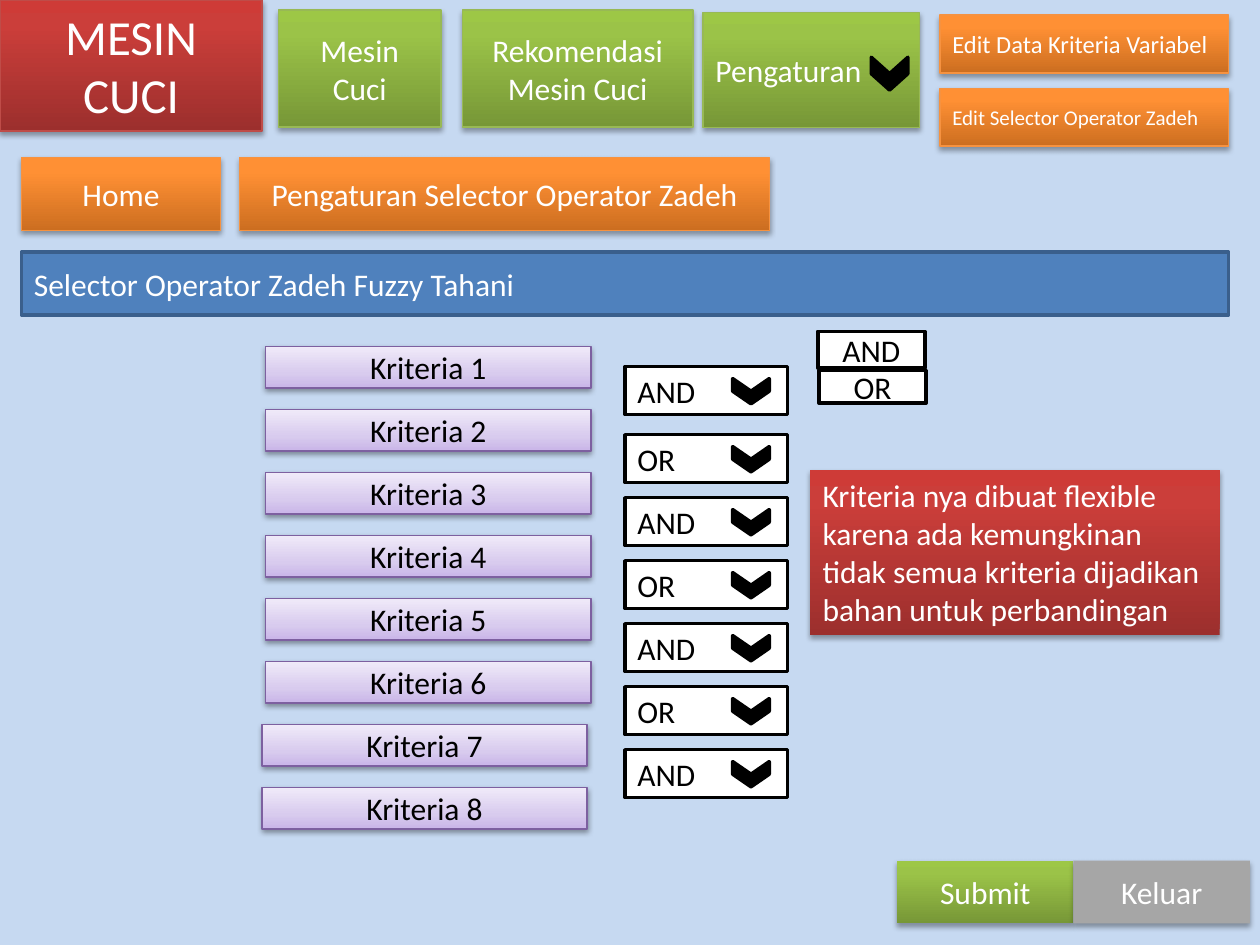
from lxml import etree
from pptx import Presentation
from pptx.dml.color import RGBColor
from pptx.enum.shapes import MSO_SHAPE as Shape
from pptx.enum.text import MSO_ANCHOR as Anchor, MSO_AUTO_SIZE as AutoSize, PP_ALIGN as Align
from pptx.oxml.ns import qn
from pptx.util import Inches, Pt

COLORS = {
    "background": "C6D9F1", "white": "FFFFFF", "black": "000000",
    "blue": "4F81BD", "blue line": "3A5F8C", "gray": "A6A6A6",
    "red line": "BF4C48", "orange line": "F69240",
    "green line": "98B955", "purple line": "7D60A0",
}
# Gradient stops run from the bottom edge to the top edge
GRADIENTS = {
    "red": [(0, "9C2F2D"), (80, "CB3E3A"), (100, "CE3B37")],
    "orange": [(0, "CC6E20"), (80, "FF9034"), (100, "FF9136")],
    "green": [(0, "779737"), (80, "9BC348"), (100, "9DC746")],
    "purple": [(0, "C9B5E8"), (35, "D8CBEE"), (100, "F0EAF9")],
}
SHADOW = {"alpha": 35, "dist": 1.8}
SOFT_SHADOW = {"alpha": 38, "dist": 1.6}

# Content: text, (left, top, width, height), format
RED = {"fill": "red", "shadow": SHADOW, "anchor": Anchor.TOP, "grow": True}
ORANGE = {"fill": "orange", "line": "orange line", "shadow": SHADOW}
GREEN = {"fill": "green", "line": "green line", "shadow": SHADOW}
PURPLE = {"fill": "purple", "line": "purple line", "shadow": SOFT_SHADOW, "color": "black"}
FIELD = {"fill": "white", "line": "black", "weight": 2, "color": "black"}
LEFT = {"align": Align.LEFT}

HEADER = [
    ("MESIN CUCI", (0, 0, 2.08, 1.04), {**RED, "line": "red line", "size": 28}),
    ("Home", (0.17, 1.25, 1.58, 0.58), ORANGE),
    ("Pengaturan Selector Operator Zadeh", (1.9, 1.25, 4.21, 0.58), ORANGE),
    ("Mesin Cuci", (2.21, 0.08, 1.29, 0.93), GREEN),
    ("Rekomendasi Mesin Cuci", (3.67, 0.08, 1.83, 0.93), GREEN),
    ("Pengaturan", (5.58, 0.1, 1.72, 0.91), {**GREEN, **LEFT}),
    ("Selector Operator Zadeh Fuzzy Tahani", (0.17, 2, 9.58, 0.5),
     {"fill": "blue", "line": "blue line", "weight": 2, **LEFT}),
    ("Submit", (7.12, 6.83, 1.4, 0.5), {"fill": "green", "shadow": SHADOW}),
    ("Keluar", (8.52, 6.83, 1.4, 0.5), {"fill": "gray", "shadow": SHADOW}),
]
MENU = [
    ("Edit Data Kriteria Variabel", (7.46, 0.12, 2.29, 0.46), {**ORANGE, **LEFT, "size": 14}),
    ("Edit Selector Operator Zadeh", (7.46, 0.7, 2.29, 0.46), {**ORANGE, **LEFT, "size": 12}),
]
SIDE = [
    ("AND", (6.49, 2.63, 0.85, 0.29), FIELD),
    ("OR", (6.5, 2.94, 0.85, 0.26), FIELD),
    ("Kriteria nya dibuat flexible karena ada kemungkinan tidak semua kriteria "
     "dijadikan bahan untuk perbandingan", (6.43, 3.73, 3.25, 1.31), {**RED, **LEFT}),
]
CRITERIA = [f"Kriteria {number}" for number in range(1, 9)]
OPERATORS = ["AND", "OR", "AND", "OR", "AND", "OR", "AND"]
ROW_STEP = 0.5


def rgb(name):
    return RGBColor.from_string(COLORS[name])


def add_gradient(shape, stops):
    shape.fill.gradient()
    shape.fill.gradient_angle = 90
    stop_list = shape.element.spPr.find(".//" + qn("a:gsLst"))
    for stop in list(stop_list):
        stop_list.remove(stop)
    for position, color in stops:
        stop = etree.SubElement(stop_list, qn("a:gs"), pos=str(position * 1000))
        etree.SubElement(stop, qn("a:srgbClr"), val=color)


def add_shadow(shape, alpha, dist):
    effects = shape.element.spPr.find(qn("a:effectLst"))
    outer = etree.SubElement(effects, qn("a:outerShdw"), blurRad=str(Pt(3.1)),
                             dist=str(Pt(dist)), dir="5400000", rotWithShape="0")
    color = etree.SubElement(outer, qn("a:srgbClr"), val=COLORS["black"])
    etree.SubElement(color, qn("a:alpha"), val=str(alpha * 1000))


def add_box(parent, text, place, *, fill, kind=Shape.RECTANGLE, line=None, weight=0.75,
            shadow=None, size=18, color="white", align=Align.CENTER,
            anchor=Anchor.MIDDLE, grow=False):
    box = parent.add_shape(kind, *map(Inches, place))
    box.shadow.inherit = False
    if fill in GRADIENTS:
        add_gradient(box, GRADIENTS[fill])
    else:
        box.fill.solid()
        box.fill.fore_color.rgb = rgb(fill)
    if line:
        box.line.color.rgb = rgb(line)
        box.line.width = Pt(weight)
    else:
        box.line.fill.background()
    if shadow:
        add_shadow(box, **shadow)
    if text:
        frame = box.text_frame
        frame.word_wrap = True
        frame.vertical_anchor = anchor
        if grow:
            frame.auto_size = AutoSize.SHAPE_TO_FIT_TEXT
        para = frame.paragraphs[0]
        para.alignment = align
        span = para.add_run()
        span.text = text
        span.font.name = "Calibri"
        span.font.size = Pt(size)
        span.font.color.rgb = rgb(color)
    return box


def add_arrow(parent, place):
    arrow = add_box(parent, "", place, kind=Shape.CHEVRON, fill="black", line="black", weight=2)
    arrow.rotation = 90


def add_boxes(parent, boxes):
    for text, place, style in boxes:
        add_box(parent, text, place, **style)


deck = Presentation()
deck.slide_width, deck.slide_height = Inches(10), Inches(7.5)
page = deck.slides.add_slide(deck.slide_layouts[6])
page.background.fill.solid()
page.background.fill.fore_color.rgb = rgb("background")

# Header, navigation and buttons
add_boxes(page.shapes, HEADER)
add_arrow(page.shapes, (6.93, 0.44, 0.26, 0.29))
add_boxes(page.shapes, MENU)

# Criteria column; the last two sit slightly further left
for row, text in enumerate(CRITERIA):
    left = 2.11 if row < 6 else 2.08
    add_box(page.shapes, text, (left, 2.75 + row * ROW_STEP, 2.58, 0.33), **PURPLE)

# Operator dropdowns; the first sits slightly higher
for row, text in enumerate(OPERATORS):
    top = 2.95 + row * ROW_STEP if row else 2.91
    dropdown = page.shapes.add_group_shape().shapes
    add_box(dropdown, text, (4.96, top, 1.29, 0.38), **FIELD, **LEFT)
    add_arrow(dropdown, (5.86, top + 0.05, 0.2, 0.29))

# Dropdown options and note
add_boxes(page.shapes, SIDE)

deck.save("out.pptx")
